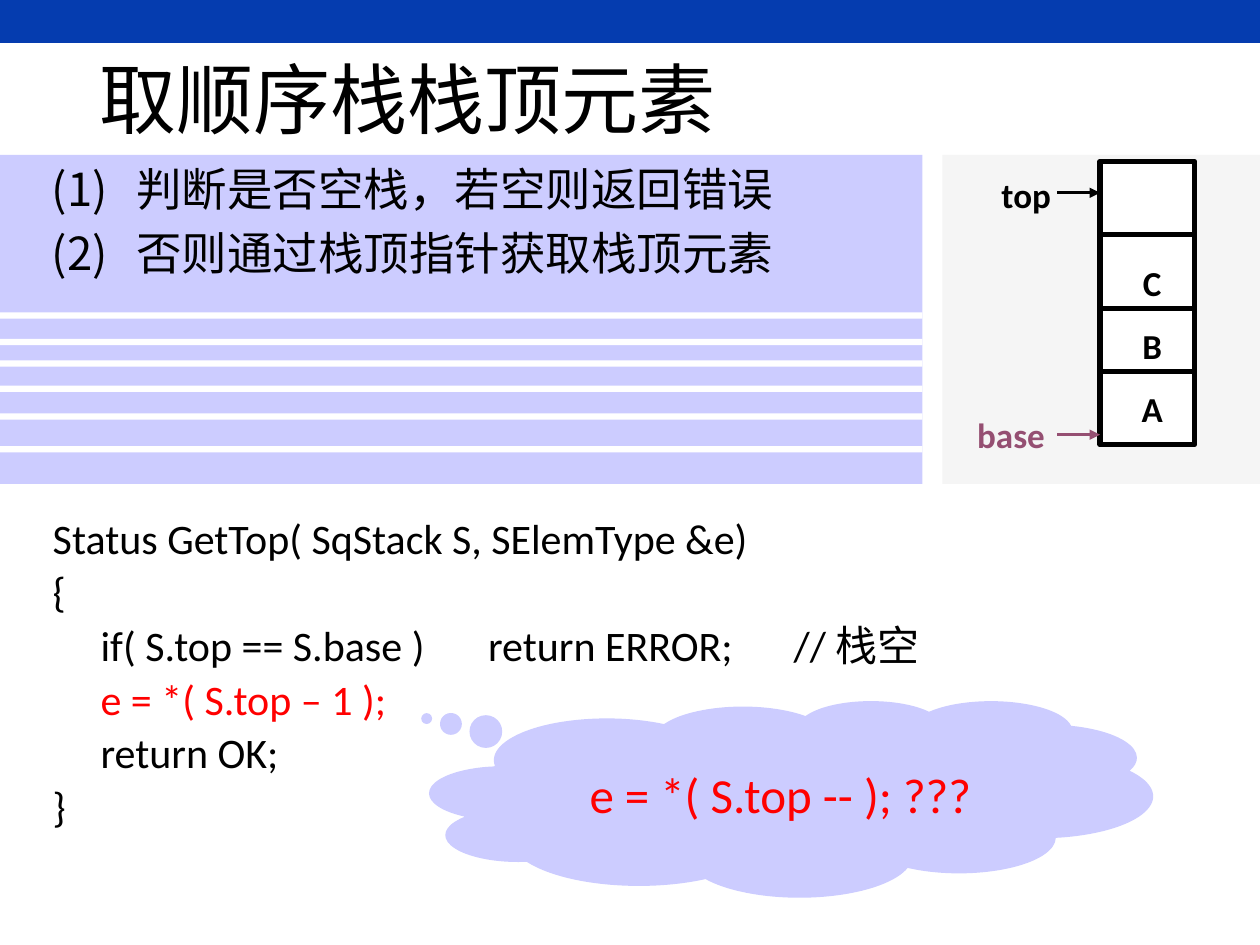
from pptx import Presentation
from pptx.dml.color import RGBColor
from pptx.enum.shapes import MSO_CONNECTOR, MSO_SHAPE
from pptx.enum.text import MSO_ANCHOR, PP_ALIGN, MSO_AUTO_SIZE
from pptx.oxml.ns import qn
from pptx.util import Inches, Pt
from lxml.etree import SubElement

BLACK, WHITE, RED = "000000", "FFFFFF", "FF0000"
BLUE, LILAC, GREY, PLUM = "053CAF", "CCCCFF", "F5F5F5", "954F72"

TITLE = "取顺序栈栈顶元素"
STEPS = ["判断是否空栈，若空则返回错误", "否则通过栈顶指针获取栈顶元素"]
CODE = [
    ("Status GetTop( SqStack S, SElemType &e)", BLACK),
    ("{", BLACK),
    ("\tif( S.top == S.base )\t return ERROR; \t// 栈空", BLACK),
    ("\te = *( S.top – 1 );", RED),
    ("\treturn OK;", BLACK),
    ("}", BLACK),
]
GUESS = "\te = *( S.top -- ); ???"
ITEMS = "CBA"
MARKS = [("top", 7.48, 1.33, 1.53, BLACK), ("base", 7.36, 3.23, 3.45, PLUM)]
RULES = [1.86, 2.45, 2.95]
BARS = [2.48, 2.69, 2.86, 3.06, 3.28, 3.54]

WIDE, HIGH = 10, 7.5
TOP, TALL, SPLIT = 1.23, 2.61, 7.32
LEFT, CELL, STEP = 8.73, 0.75, 0.5

deck = Presentation()
deck.slide_width, deck.slide_height = Inches(WIDE), Inches(HIGH)
slide = deck.slides.add_slide(deck.slide_layouts[1])
shapes = slide.shapes


def tint(text):
    return RGBColor.from_string(text)


def place(shape, *box):
    shape.left, shape.top, shape.width, shape.height = map(Inches, box)


def block(box, fill, kind=MSO_SHAPE.RECTANGLE, line=None):
    shape = shapes.add_shape(kind, *map(Inches, box))
    shape.shadow.inherit = False
    shape.fill.solid()
    shape.fill.fore_color.rgb = tint(fill)
    if line:
        shape.line.color.rgb = tint(line)
        shape.line.width = Pt(3)
    else:
        shape.line.fill.background()
    return shape


def write(shape, lines, size, bold=False, align=PP_ALIGN.LEFT, anchor=MSO_ANCHOR.TOP,
          lead=1, gap=0, hang=None, number=False):
    frame = shape.text_frame
    frame.word_wrap = True
    frame.auto_size = MSO_AUTO_SIZE.NONE
    frame.vertical_anchor = anchor
    for i, (text, color) in enumerate(lines):
        para = frame.add_paragraph() if i else frame.paragraphs[0]
        para.alignment = align
        para.line_spacing = lead
        para.space_before = Pt(size * gap)
        run = para.add_run()
        run.text = text
        font = run.font
        font.name, font.size, font.bold = "Calibri", Pt(size), bold
        font.color.rgb = tint(color)
        if hang:
            props = para._p.get_or_add_pPr()
            props.set("marL", str(Inches(hang[0])))
            props.set("indent", str(Inches(hang[1])))
            if number:
                SubElement(props, qn("a:buAutoNum"), type="arabicParenBoth")


def label(text, box, color=BLACK):
    write(shapes.add_textbox(*map(Inches, box)), [(text, color)], 20,
          bold=True, align=PP_ALIGN.CENTER, gap=0.5)


def rule(start, end, y, color, width, arrow=False):
    line = shapes.add_connector(MSO_CONNECTOR.STRAIGHT, *map(Inches, (start, y, end, y)))
    line.line.color.rgb = tint(color)
    line.line.width = Pt(width)
    if arrow:
        SubElement(line.line._get_or_add_ln(), qn("a:tailEnd"), type="triangle")
    SubElement(line._element.spPr, qn("a:effectLst"))


block((0, 0, WIDE, 0.34), BLUE)
block((7.48, TOP, WIDE - 7.48, TALL), GREY)

title, body = slide.placeholders
place(title, 0.69, 0.4, 8.62, 0.85)
write(title, [(TITLE, BLACK)], 44, anchor=MSO_ANCHOR.MIDDLE, lead=0.9)

place(body, 0, TOP, SPLIT, TALL)
body.fill.solid()
body.fill.fore_color.rgb = tint(LILAC)
write(body, [(step, BLACK) for step in STEPS], 26, gap=0.2, hang=(0.98, -0.67), number=True)

code = shapes.add_textbox(*map(Inches, (0.32, 4.06, 9.21, 2.69)))
write(code, CODE, 24, lead=0.9, gap=0.2, hang=(0.38, -0.38))

cloud = block((3.41, 5.56, 5.74, 1.56), LILAC, MSO_SHAPE.CLOUD_CALLOUT)
cloud.adjustments[0], cloud.adjustments[1] = -0.504, -0.408
write(cloud, [(GUESS, RED)], 28, anchor=MSO_ANCHOR.MIDDLE, gap=0.2, hang=(0.38, -0.38))

block((LEFT, 1.28, CELL, 2.25), WHITE, line=BLACK)
for y in RULES:
    rule(LEFT, LEFT + CELL, y, BLACK, 3)
for i, item in enumerate(ITEMS):
    label(item, (8.81, 2.03 + i * STEP, 0.67, 0.43))
for text, x, y, tip, color in MARKS:
    label(text, (x, y, 1.33, 0.43), color)
    rule(8.39, LEFT, tip, color, 1.5, arrow=True)

for y in BARS:
    block((0, y, SPLIT, 0.05), WHITE)

deck.save("out.pptx")
